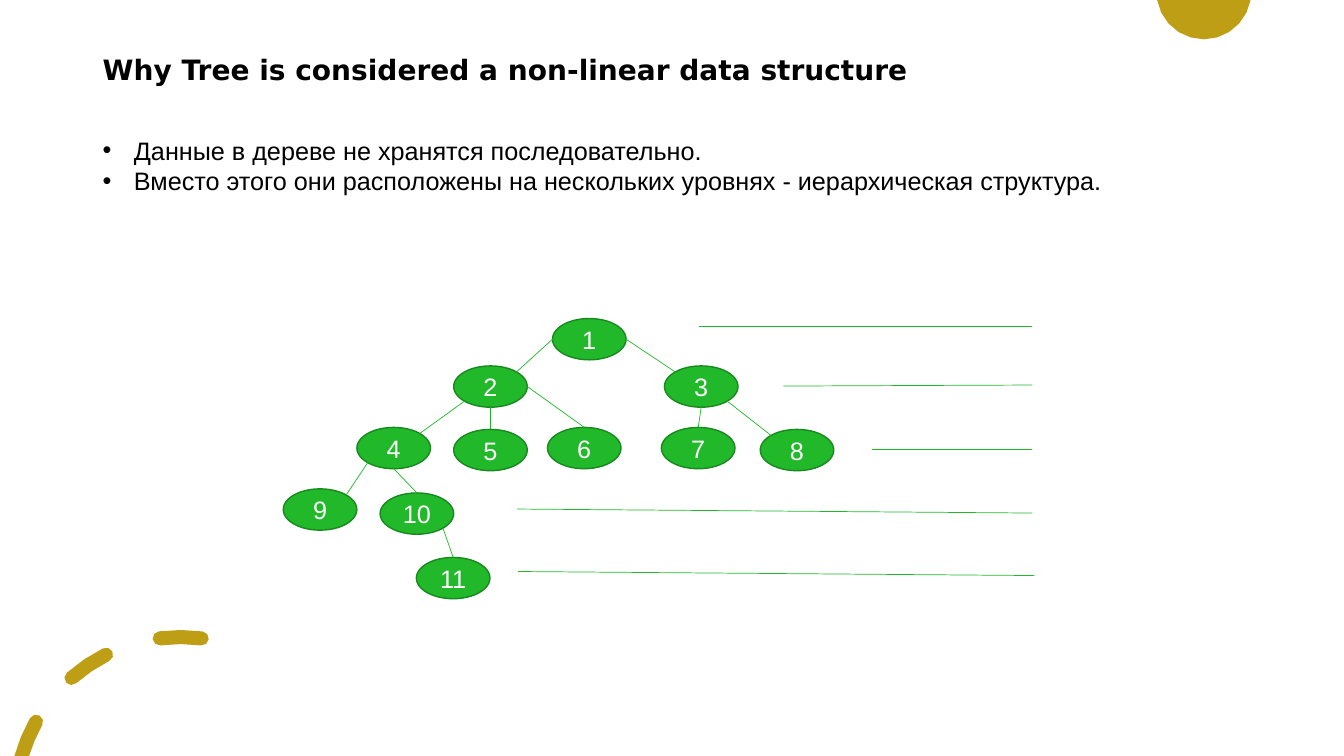
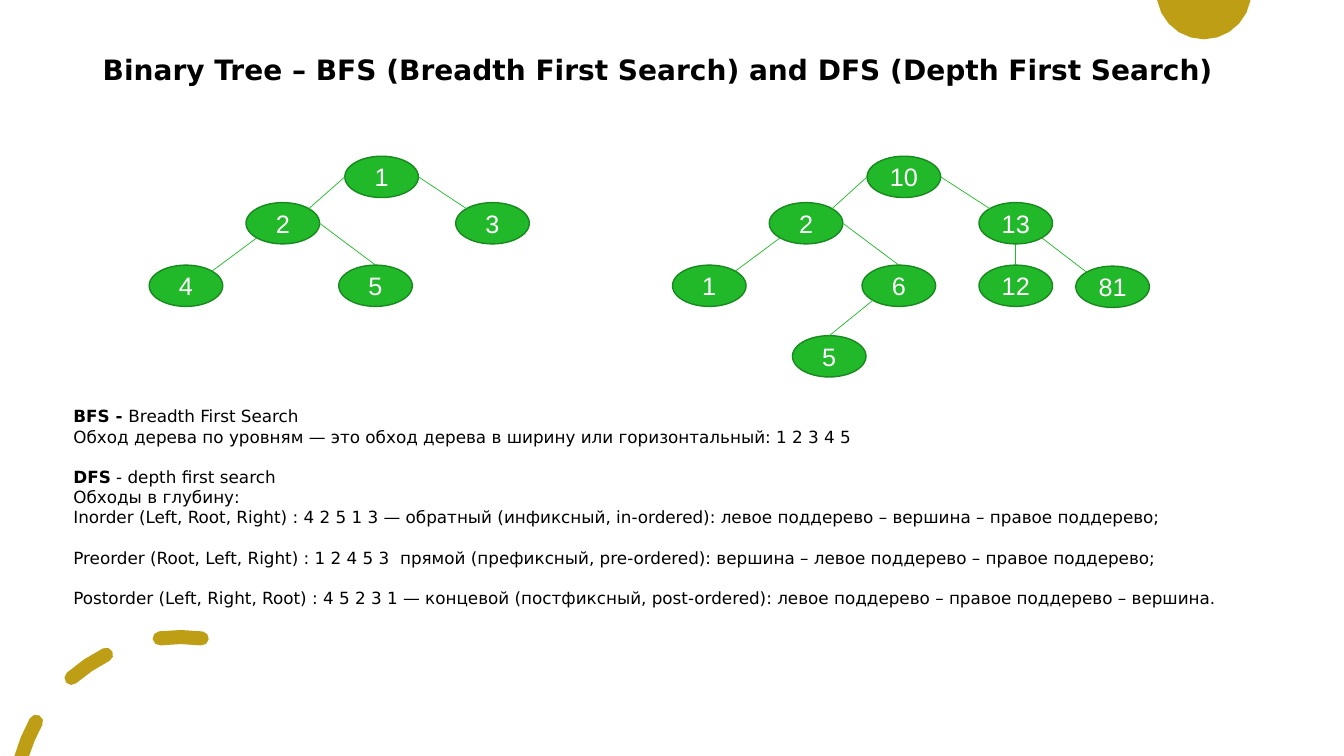
from dataclasses import dataclass
from enum import Enum
from math import asin, cos, degrees, pi, radians, sin, sqrt

from pptx import Presentation
from pptx.dml.color import RGBColor
from pptx.enum.shapes import MSO_CONNECTOR, MSO_SHAPE
from pptx.enum.text import MSO_ANCHOR, PP_ALIGN
from pptx.oxml.ns import qn
from pptx.slide import Slide
from pptx.text.text import TextFrame, _Paragraph, _Run
from pptx.util import Inches, Pt

OVAL = MSO_SHAPE.OVAL
STRAIGHT = MSO_CONNECTOR.STRAIGHT
MIDDLE, TOP_ANCHOR = MSO_ANCHOR.MIDDLE, MSO_ANCHOR.TOP
CENTER = PP_ALIGN.CENTER

BLACK = RGBColor(0x00, 0x00, 0x00)
WHITE = RGBColor(0xFF, 0xFF, 0xFF)
GOLD = RGBColor(0xBE, 0x9E, 0x15)
GREEN = RGBColor(0x21, 0xB9, 0x2A)
DARK_GREEN = RGBColor(0x18, 0x89, 0x1F)

HEADING_FONT = "DejaVu Sans"
BODY_FONT = "Arial"
SLIDE_WIDTH, SLIDE_HEIGHT = 13.33, 7.5
NODE_WIDTH, NODE_HEIGHT = 0.73, 0.41
BLANK_LAYOUT = 6
BULLET_INDENT = 0.31
NOTE_GAP = 14.4
NEAR = (1 - sqrt(0.5)) / 2
FAR = 1 - NEAR

Point = tuple[float, float]


class Site(Enum):
    TOP = (0.5, 0)
    TOP_LEFT = (NEAR, NEAR)
    LEFT = (0, 0.5)
    BOTTOM_LEFT = (NEAR, FAR)
    BOTTOM = (0.5, 1)
    BOTTOM_RIGHT = (FAR, FAR)
    RIGHT = (1, 0.5)
    TOP_RIGHT = (FAR, NEAR)


@dataclass(frozen=True)
class Node:
    label: str
    left: float
    top: float

    def site(self, site: Site) -> Point:
        across, down = site.value
        return self.left + across * NODE_WIDTH, self.top + down * NODE_HEIGHT


@dataclass(frozen=True)
class Edge:
    parent: str
    parent_site: Site
    child: str
    child_site: Site


@dataclass(frozen=True)
class Tree:
    nodes: list[Node]
    edges: list[Edge]


@dataclass(frozen=True)
class Line:
    start: Point
    end: Point


@dataclass(frozen=True)
class Note:
    text: str
    bold_prefix: str = ""
    space_before: float = 0


LEVEL_TREE = Tree(
    [
        Node("1", 5.48, 3.16),
        Node("2", 4.5, 3.63),
        Node("3", 6.59, 3.63),
        Node("4", 3.54, 4.24),
        Node("5", 4.5, 4.26),
        Node("6", 5.43, 4.24),
        Node("7", 6.56, 4.24),
        Node("8", 7.54, 4.26),
        Node("9", 2.81, 4.85),
        Node("10", 3.77, 4.89),
        Node("11", 4.13, 5.53),
    ],
    [
        Edge("1", Site.LEFT, "2", Site.TOP_RIGHT),
        Edge("1", Site.RIGHT, "3", Site.TOP_LEFT),
        Edge("2", Site.BOTTOM_LEFT, "4", Site.TOP_RIGHT),
        Edge("2", Site.BOTTOM, "5", Site.TOP),
        Edge("2", Site.RIGHT, "6", Site.TOP),
        Edge("3", Site.BOTTOM, "7", Site.TOP),
        Edge("3", Site.BOTTOM_RIGHT, "8", Site.TOP_LEFT),
        Edge("4", Site.BOTTOM_LEFT, "9", Site.TOP_RIGHT),
        Edge("4", Site.BOTTOM, "10", Site.TOP),
        Edge("10", Site.BOTTOM_RIGHT, "11", Site.TOP),
    ],
)

TRAVERSAL_TREE = Tree(
    [
        Node("1", 3.42, 1.55),
        Node("2", 2.44, 2.01),
        Node("3", 4.52, 2.01),
        Node("4", 1.48, 2.63),
        Node("5", 3.36, 2.63),
    ],
    [
        Edge("1", Site.LEFT, "2", Site.TOP_RIGHT),
        Edge("1", Site.RIGHT, "3", Site.TOP_LEFT),
        Edge("2", Site.BOTTOM_LEFT, "4", Site.TOP_RIGHT),
        Edge("2", Site.RIGHT, "5", Site.TOP),
    ],
)

SEARCH_TREE = Tree(
    [
        Node("10", 8.6, 1.55),
        Node("2", 7.63, 2.01),
        Node("13", 9.71, 2.01),
        Node("1", 6.67, 2.63),
        Node("6", 8.55, 2.63),
        Node("12", 9.71, 2.63),
        Node("81", 10.67, 2.64),
        Node("5", 7.86, 3.33),
    ],
    [
        Edge("10", Site.LEFT, "2", Site.TOP_RIGHT),
        Edge("10", Site.RIGHT, "13", Site.TOP_LEFT),
        Edge("2", Site.BOTTOM_LEFT, "1", Site.TOP_RIGHT),
        Edge("2", Site.RIGHT, "6", Site.TOP),
        Edge("13", Site.BOTTOM, "12", Site.TOP),
        Edge("13", Site.BOTTOM_RIGHT, "81", Site.TOP_LEFT),
        Edge("6", Site.BOTTOM_LEFT, "5", Site.TOP),
    ],
)

LEVEL_LINES = [
    Line((6.93, 3.24), (10.24, 3.24)),
    Line((7.77, 3.83), (10.24, 3.82)),
    Line((8.65, 4.46), (10.24, 4.46)),
    Line((5.13, 5.05), (10.24, 5.09)),
    Line((5.14, 5.67), (10.26, 5.71)),
]

TREE_FACTS = [
    "Данные в дереве не хранятся последовательно.",
    "Вместо этого они расположены на нескольких уровнях - иерархическая структура.",
]

TRAVERSAL_NOTES = [
    Note("Breadth First Search", "BFS - "),
    Note("Обход дерева по уровням — это обход дерева в ширину или горизонтальный: 1 2 3 4 5"),
    Note(" - depth first search", "DFS", NOTE_GAP),
    Note("Обходы в глубину:"),
    Note("Inorder (Left, Root, Right) : 4 2 5 1 3 — обратный (инфиксный, in-ordered): "
         "левое поддерево – вершина – правое поддерево;"),
    Note("Preorder (Root, Left, Right) : 1 2 4 5 3  прямой (префиксный, pre-ordered): "
         "вершина – левое поддерево – правое поддерево;", space_before=NOTE_GAP),
    Note("Postorder (Left, Right, Root) : 4 5 2 3 1 — концевой (постфиксный, post-ordered): "
         "левое поддерево – правое поддерево – вершина.", space_before=NOTE_GAP),
]


def format_run(run: _Run, name: str, size: float, color: RGBColor, bold: bool = False) -> None:
    run.font.name = name
    run.font.size = Pt(size)
    run.font.color.rgb = color
    run.font.bold = bold


def arc(center: Point, radius: float, start: float, end: float, steps: int = 2) -> list[Point]:
    angles = [radians(start + (end - start) * step / steps) for step in range(steps + 1)]
    return [(center[0] + radius * cos(angle), center[1] - radius * sin(angle)) for angle in angles]


def round_cap(center: Point, radius: float, half: float, angle: float, turn: float) -> list[Point]:
    middle = arc(center, radius, angle, angle, 1)[0]
    return arc(middle, half, angle + turn, angle + turn + 180, 4)[1:-1]


def dash(center: Point, radius: float, half: float, start: float, end: float) -> list[Point]:
    return (arc(center, radius + half, start, end) + round_cap(center, radius, half, end, 0)
            + arc(center, radius - half, end, start) + round_cap(center, radius, half, start, 180))


def clipped_dash(center: Point, radius: float, half: float, start: float) -> list[Point]:
    rise = center[1] - SLIDE_HEIGHT
    outer, inner = radius + half, radius - half
    outer_end, inner_end = (degrees(pi - asin(rise / edge)) for edge in (outer, inner))
    return (arc(center, outer, start, outer_end) + arc(center, inner, inner_end, start)
            + round_cap(center, radius, half, start, 180))


def draw_outlines(slide: Slide, outlines: list[list[Point]]) -> None:
    scaled = [[(Inches(x), Inches(y)) for x, y in outline] for outline in outlines]
    builder = slide.shapes.build_freeform(*scaled[0][0])
    for index, outline in enumerate(scaled):
        if index:
            builder.move_to(*outline[0])
        builder.add_line_segments(outline[1:], close=True)
    shape = builder.convert_to_shape()
    shape.shadow.inherit = False
    shape.fill.solid()
    shape.fill.fore_color.rgb = GOLD
    shape.line.fill.background()


def draw_decoration(slide: Slide) -> None:
    disc_center, disc_radius = (11.94, -0.08), 0.47
    edge = degrees(asin(disc_center[1] / disc_radius))
    draw_outlines(slide, [arc(disc_center, disc_radius, edge, -180 - edge, 10)])
    ring = ((1.79, 7.96), 1.64, 0.07)
    draw_outlines(slide, [
        clipped_dash(*ring, 150.8),
        dash(*ring, 116.7, 131.2),
        dash(*ring, 82.6, 97.2),
    ])


def add_text_box(slide: Slide, left: float, top: float, width: float, height: float,
                 anchor: MSO_ANCHOR = TOP_ANCHOR) -> TextFrame:
    box = slide.shapes.add_textbox(Inches(left), Inches(top), Inches(width), Inches(height))
    box.text_frame.word_wrap = True
    box.text_frame.vertical_anchor = anchor
    return box.text_frame


def add_titled_slide(presentation: Presentation, title: str) -> Slide:
    slide = presentation.slides.add_slide(presentation.slide_layouts[BLANK_LAYOUT])
    draw_decoration(slide)
    text_frame = add_text_box(slide, 0.92, 0.4, 11.39, 0.61, MIDDLE)
    text_frame.text = title
    paragraph = text_frame.paragraphs[0]
    paragraph.line_spacing = 0.9
    format_run(paragraph.runs[0], HEADING_FONT, 20, BLACK, True)
    return slide


def draw_line(slide: Slide, line: Line) -> None:
    ends = [Inches(value) for value in (*line.start, *line.end)]
    connector = slide.shapes.add_connector(STRAIGHT, *ends)
    connector.line.color.rgb = GREEN
    connector.line.width = Pt(0.5)
    properties = connector._element.spPr
    properties.append(properties.makeelement(qn("a:effectLst"), {}))


def draw_node(slide: Slide, node: Node) -> None:
    shape = slide.shapes.add_shape(OVAL, Inches(node.left), Inches(node.top),
                                   Inches(NODE_WIDTH), Inches(NODE_HEIGHT))
    shape.shadow.inherit = False
    shape.fill.solid()
    shape.fill.fore_color.rgb = GREEN
    shape.line.color.rgb = DARK_GREEN
    shape.line.width = Pt(1)
    text_frame = shape.text_frame
    text_frame.margin_left = text_frame.margin_right = Inches(0)
    text_frame.vertical_anchor = MIDDLE
    text_frame.text = node.label
    paragraph = text_frame.paragraphs[0]
    paragraph.alignment = CENTER
    format_run(paragraph.runs[0], BODY_FONT, 18, WHITE)


def draw_tree(slide: Slide, tree: Tree) -> None:
    nodes = {node.label: node for node in tree.nodes}
    for node in tree.nodes:
        draw_node(slide, node)
    for edge in tree.edges:
        draw_line(slide, Line(nodes[edge.parent].site(edge.parent_site),
                              nodes[edge.child].site(edge.child_site)))


def add_bullet(paragraph: _Paragraph) -> None:
    properties = paragraph._p.get_or_add_pPr()
    properties.set("marL", str(Inches(BULLET_INDENT)))
    properties.set("indent", str(-Inches(BULLET_INDENT)))
    for tag, attributes in (("a:buFont", {"typeface": BODY_FONT}), ("a:buChar", {"char": "•"})):
        properties.append(properties.makeelement(qn(tag), attributes))


def draw_facts(slide: Slide, facts: list[str]) -> None:
    text_frame = add_text_box(slide, 0.92, 1.29, 11.39, 0.71)
    text_frame.text = "\n".join(facts)
    for paragraph in text_frame.paragraphs:
        add_bullet(paragraph)
        format_run(paragraph.runs[0], BODY_FONT, 18, BLACK)


def draw_notes(slide: Slide, notes: list[Note]) -> None:
    text_frame = add_text_box(slide, 0.63, 3.98, 12.3, 2.32)
    for index, note in enumerate(notes):
        paragraph = text_frame.add_paragraph() if index else text_frame.paragraphs[0]
        if note.space_before:
            paragraph.space_before = Pt(note.space_before)
        for text, bold in ((note.bold_prefix, True), (note.text, False)):
            if text:
                run = paragraph.add_run()
                run.text = text
                format_run(run, HEADING_FONT, 12, BLACK, bold)


def main() -> None:
    presentation = Presentation()
    presentation.slide_width = Inches(SLIDE_WIDTH)
    presentation.slide_height = Inches(SLIDE_HEIGHT)

    slide = add_titled_slide(presentation, "Why Tree is considered a non-linear data structure")
    draw_facts(slide, TREE_FACTS)
    draw_tree(slide, LEVEL_TREE)
    for line in LEVEL_LINES:
        draw_line(slide, line)

    slide = add_titled_slide(
        presentation, "Binary Tree – BFS (Breadth First Search) and DFS (Depth First Search)")
    for tree in (TRAVERSAL_TREE, SEARCH_TREE):
        draw_tree(slide, tree)
    draw_notes(slide, TRAVERSAL_NOTES)

    presentation.save("out.pptx")


if __name__ == "__main__":
    main()
